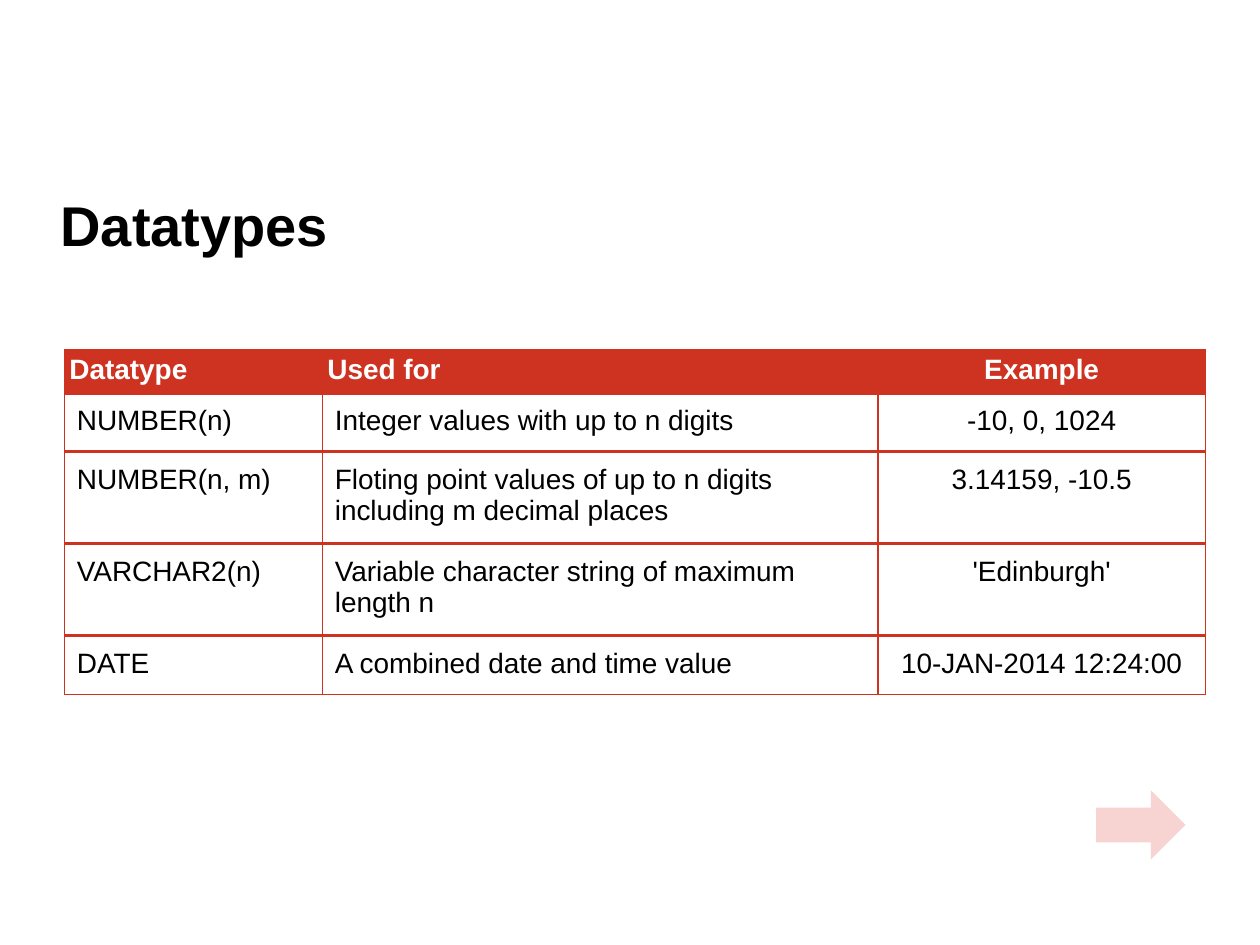
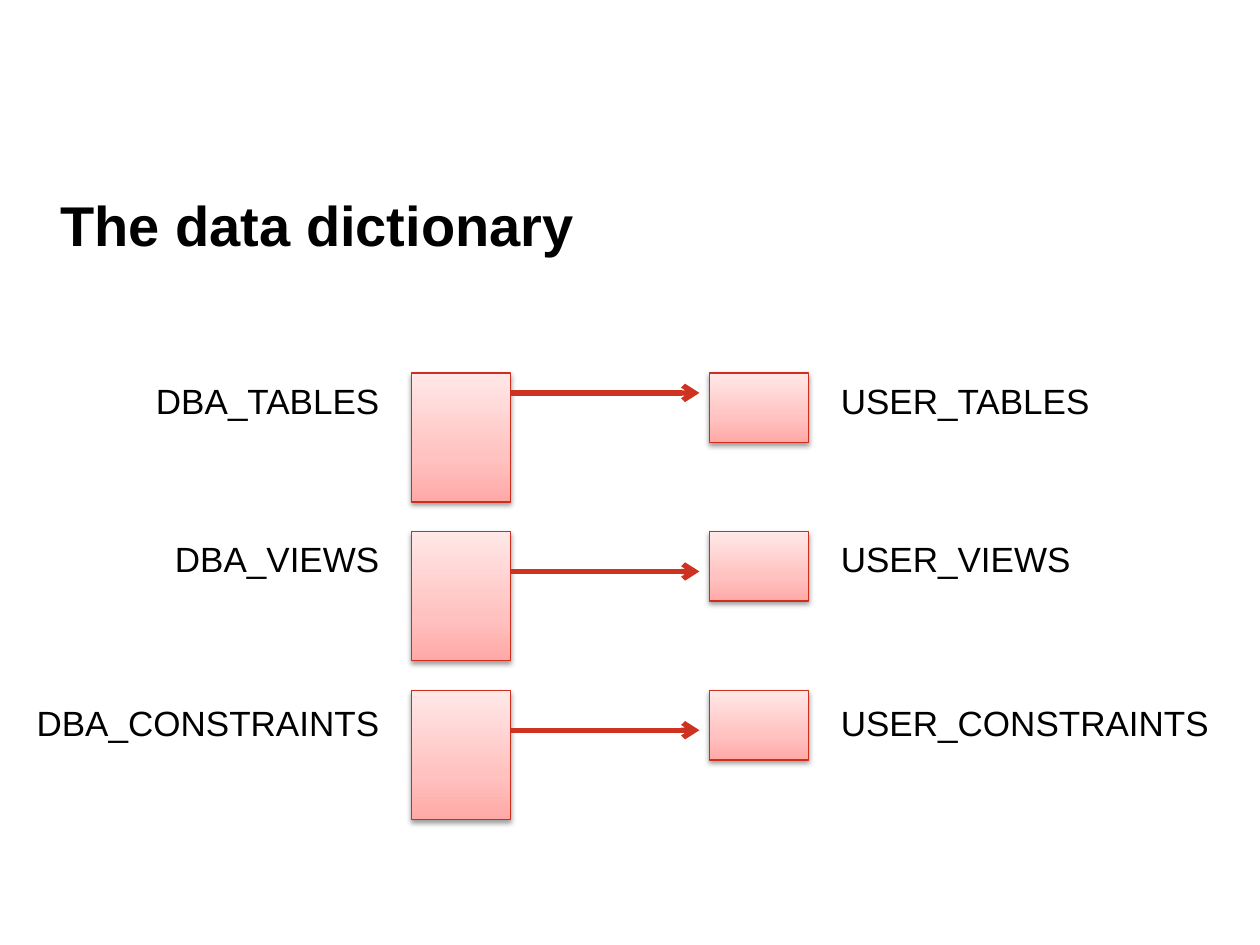
from pptx import Presentation
from pptx import util as u
from pptx.dml.color import RGBColor
from pptx.enum import shapes, text
from pptx.oxml import parse_xml
from pptx.oxml.ns import nsdecls, qn

Cm, Pt = u.Cm, u.Pt
LEFT, CENTER, RIGHT = text.PP_ALIGN.LEFT, text.PP_ALIGN.CENTER, text.PP_ALIGN.RIGHT
COLORS = {
    "ink": "000000", "paper": "FFFFFF", "red": "CE3322", "outline": "CE2F1D",
    "blush": "F7D4D1", "deep": "FFA9A7", "mid": "FFC2C0", "pale": "FFE8E7",
}


def rgb(name):
    return RGBColor.from_string(COLORS[name])


def element(tag, attributes="", inner=""):
    return parse_xml(f"<a:{tag} {nsdecls('a')} {attributes}>{inner}</a:{tag}>")


class Deck:
    """Shared style and the slide being built; lengths are in centimetres."""

    font = "Arial"

    def __init__(self):
        self.prs = Presentation()
        self.prs.slide_width, self.prs.slide_height = Cm(25.4), Cm(19.05)
        self.slide = None

    def new_slide(self, title):
        self.slide = self.prs.slides.add_slide(self.prs.slide_layouts[6])
        heading = self.label(title, 0.97, 3.56, 23.47, 1.93, size=32, bold=True)
        heading.vertical_anchor = text.MSO_ANCHOR.MIDDLE

    def add_words(self, frame, words, size, color="ink", bold=False, align=LEFT):
        paragraph = frame.paragraphs[0]
        paragraph.alignment = align
        run = paragraph.add_run()
        run.text = words
        run.font.name, run.font.size, run.font.bold = self.font, Pt(size), bold
        run.font.color.rgb = rgb(color)

    def label(self, words, x, y, w, h, size=20, bold=False, align=LEFT):
        frame = self.slide.shapes.add_textbox(Cm(x), Cm(y), Cm(w), Cm(h)).text_frame
        frame.word_wrap = True
        self.add_words(frame, words, size, bold=bold, align=align)
        return frame

    def shape(self, kind, x, y, w, h):
        shape = self.slide.shapes.add_shape(kind, Cm(x), Cm(y), Cm(w), Cm(h))
        shape.shadow.inherit = False
        return shape

    def next_arrow(self, x, y, w, h):
        arrow = self.shape(shapes.MSO_SHAPE.RIGHT_ARROW, x, y, w, h)
        arrow.fill.solid()
        arrow.fill.fore_color.rgb = rgb("blush")
        arrow.line.fill.background()

    def gradient_box(self, x, y, w, h):
        box = self.shape(shapes.MSO_SHAPE.RECTANGLE, x, y, w, h)
        box.line.color.rgb = rgb("outline")
        box.line.width = Pt(0.75)
        stops = "".join(
            f'<a:gs pos="{pos * 1000}"><a:srgbClr val="{COLORS[name]}"/></a:gs>'
            for pos, name in ((0, "deep"), (35, "mid"), (100, "pale")))
        properties = box._element.spPr
        properties.find(qn("a:prstGeom")).addnext(element(
            "gradFill", 'rotWithShape="1"',
            f'<a:gsLst>{stops}</a:gsLst><a:lin ang="16200000" scaled="0"/>'))
        # Soft shadow falling straight down
        properties.find(qn("a:effectLst")).append(element(
            "outerShdw",
            f'blurRad="{Pt(3.1)}" dist="{Pt(1.6)}" dir="5400000" rotWithShape="0"',
            f'<a:srgbClr val="{COLORS["ink"]}"><a:alpha val="38000"/></a:srgbClr>'))

    def arrow_line(self, x1, x2, y):
        line = self.slide.shapes.add_connector(
            shapes.MSO_CONNECTOR.STRAIGHT, Cm(x1), Cm(y), Cm(x2), Cm(y))
        line.line.color.rgb = rgb("red")
        line.line.width = Pt(3)
        properties = line._element.spPr
        properties.find(qn("a:ln")).append(element("tailEnd", 'type="arrow"'))
        properties.append(element("effectLst"))

    def borders(self, cell, top, bottom):
        properties = cell._tc.get_or_add_tcPr()
        for side, width in (("L", 0.75), ("R", 0.75), ("T", top), ("B", bottom)):
            properties.append(element(
                f"ln{side}", f'w="{Pt(width)}"',
                f'<a:solidFill><a:srgbClr val="{COLORS["red"]}"/></a:solidFill>'))

    def table(self, rows, x, y, widths, heights, aligns):
        grid = self.slide.shapes.add_table(
            len(rows), len(widths), Cm(x), Cm(y),
            Cm(sum(widths)), Cm(sum(heights))).table
        grid.horz_banding = False
        for column, width in zip(grid.columns, widths):
            column.width = Cm(width)
        for r, (row, height) in enumerate(zip(rows, heights)):
            grid.rows[r].height = Cm(height)
            header, last = r == 0, r == len(rows) - 1
            for c, words in enumerate(row):
                cell = grid.cell(r, c)
                margin = Cm(0.1 if header else 0.25)
                cell.margin_left = cell.margin_right = margin
                cell.margin_top = cell.margin_bottom = margin
                self.borders(cell, 0.75 if header else 2.25, 0.75 if last else 2.25)
                if header:
                    cell.fill.solid()
                    cell.fill.fore_color.rgb = rgb("red")
                else:
                    cell.fill.background()
                self.add_words(cell.text_frame, words, 16,
                               "paper" if header else "ink", header, aligns[c])


deck = Deck()

# Slide 1: datatype overview
deck.new_slide("Datatypes")
datatypes = [
    ("Datatype", "Used for", "Example"),
    ("NUMBER(n)", "Integer values with up to n digits", "-10, 0, 1024"),
    ("NUMBER(n, m)", "Floting point values of up to n digits including m decimal places",
     "3.14159, -10.5"),
    ("VARCHAR2(n)", "Variable character string of maximum length n", "'Edinburgh'"),
    ("DATE", "A combined date and time value", "10-JAN-2014 12:24:00"),
]
deck.table(datatypes, 1.3, 7.05, widths=(5.2, 11.2, 6.6),
           heights=(0.87, 1.14, 1.78, 1.78, 1.16), aligns=(LEFT, LEFT, CENTER))
deck.next_arrow(22.1, 15.93, 1.8, 1.4)

# Slide 2: each DBA view maps to a smaller USER view
deck.new_slide("The data dictionary")
TOP, STEP, BOX_WIDTH = 7.52, 3.2, 2
DBA_X, USER_X = 8.3, 14.3
# Subject, label offset and arrow offset from the top of its row
subjects = [("TABLES", 0, 0.4), ("VIEWS", 0, 0.8), ("CONSTRAINTS", 0.1, 0.8)]
for i, (subject, label_drop, arrow_drop) in enumerate(subjects):
    y = TOP + i * STEP
    deck.gradient_box(DBA_X, y, BOX_WIDTH, 2.6)
    deck.gradient_box(USER_X, y, BOX_WIDTH, 1.4)
    deck.label(f"DBA_{subject}", 0.3, y + label_drop, 7.6, 1.11, align=RIGHT)
    deck.label(f"USER_{subject}", 16.7, y + label_drop, 8.1, 1.11)
    deck.arrow_line(DBA_X + BOX_WIDTH, USER_X - 0.2, y + arrow_drop)

deck.prs.save("out.pptx")
